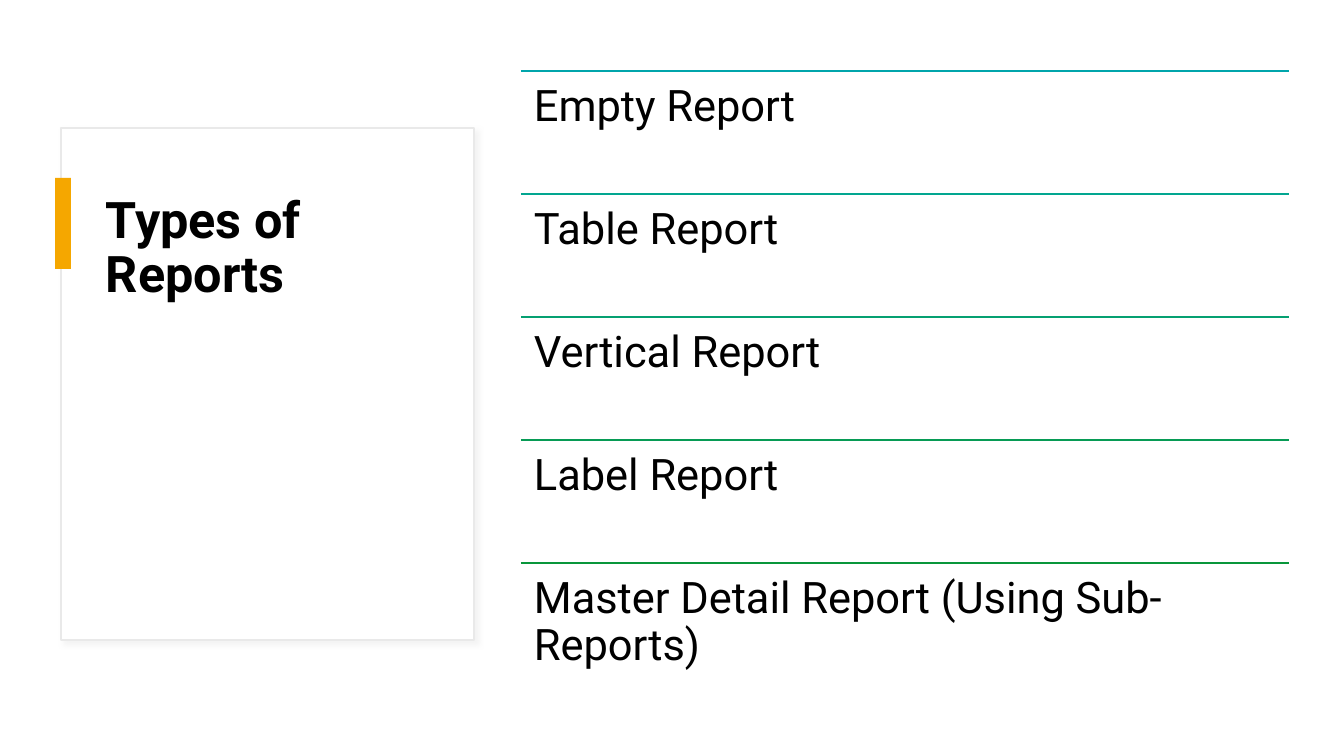
from lxml.etree import SubElement
from pptx import Presentation
from pptx.dml.color import RGBColor
from pptx.enum.shapes import MSO_CONNECTOR, MSO_SHAPE
from pptx.enum.text import MSO_ANCHOR, PP_ALIGN
from pptx.oxml.ns import qn
from pptx.util import Emu, Pt

WIDTH, HEIGHT = 1344, 756
SCALE = 12192000 / WIDTH
FONT = "Roboto"
REPORTS = [
    ("Empty Report", "00A5AB"),
    ("Table Report", "02A690"),
    ("Vertical Report", "05A071"),
    ("Label Report", "079B55"),
    ("Master Detail Report (Using Sub-Reports)", "09963B"),
]


def px(length):
    return Emu(round(length * SCALE))


def color(value):
    return RGBColor.from_string(value)


def write(frame, text, size, inset_x, inset_y, bold=False):
    frame.text = text
    frame.word_wrap = True
    frame.vertical_anchor = MSO_ANCHOR.TOP
    frame.margin_left = frame.margin_right = px(inset_x)
    frame.margin_top = frame.margin_bottom = px(inset_y)
    para = frame.paragraphs[0]
    para.alignment = PP_ALIGN.LEFT
    para.line_spacing = 0.9
    para.space_before = Pt(0)
    for span in para.runs:
        span.font.name = FONT
        span.font.size = Pt(size)
        span.font.bold = bold
        span.font.color.rgb = color("000000")


def add_rectangle(page, left, top, width, height, fill):
    box = page.shapes.add_shape(
        MSO_SHAPE.RECTANGLE, px(left), px(top), px(width), px(height))
    box.shadow.inherit = False
    box.fill.solid()
    box.fill.fore_color.rgb = color(fill)
    box.line.fill.background()
    return box


def add_soft_shadow(box):
    effects = box.element.spPr.find(qn("a:effectLst"))
    shadow = SubElement(effects, qn("a:outerShdw"), blurRad=str(Pt(4)),
                        dist=str(Pt(3)), dir="2700000", algn="tl", rotWithShape="0")
    shade = SubElement(shadow, qn("a:srgbClr"), val="D9D9D9")
    SubElement(shade, qn("a:alpha"), val="30000")


def add_title_card(page, left, top, width, height):
    card = add_rectangle(page, left, top, width, height, "FFFFFF")
    card.line.color.rgb = color("E9E9E9")
    card.line.width = Pt(1)
    add_soft_shadow(card)

    title = page.shapes.title
    title.element.addprevious(card.element)
    title.left, title.top = px(left + 35), px(top + 62)
    title.width, title.height = px(width - 70), px(height - 124)
    write(title.text_frame, "Types of Reports", 36, 10, 5, bold=True)

    add_rectangle(page, left - 6, top + 50, 16, 91, "F5A700")


def add_report_list(page, left, top, width, height):
    group = page.shapes.add_group_shape()
    row_height = height / len(REPORTS)
    for index, (name, line_color) in enumerate(REPORTS):
        row_top = top + index * row_height
        rule = group.shapes.add_connector(
            MSO_CONNECTOR.STRAIGHT, px(left), px(row_top), px(left + width), px(row_top))
        rule.line.color.rgb = color(line_color)
        rule.line.width = Pt(1)
        SubElement(rule.element.spPr, qn("a:effectLst"))
        box = group.shapes.add_textbox(px(left), px(row_top), px(width), px(row_height))
        write(box.text_frame, name, 31, 13, 13)


def main():
    deck = Presentation()
    deck.slide_width, deck.slide_height = px(WIDTH), px(HEIGHT)
    page = deck.slides.add_slide(deck.slide_layouts[5])
    add_title_card(page, 61, 128, 413, 512)
    add_report_list(page, 521, 71, 768, 615)
    deck.save("out.pptx")


if __name__ == "__main__":
    main()
